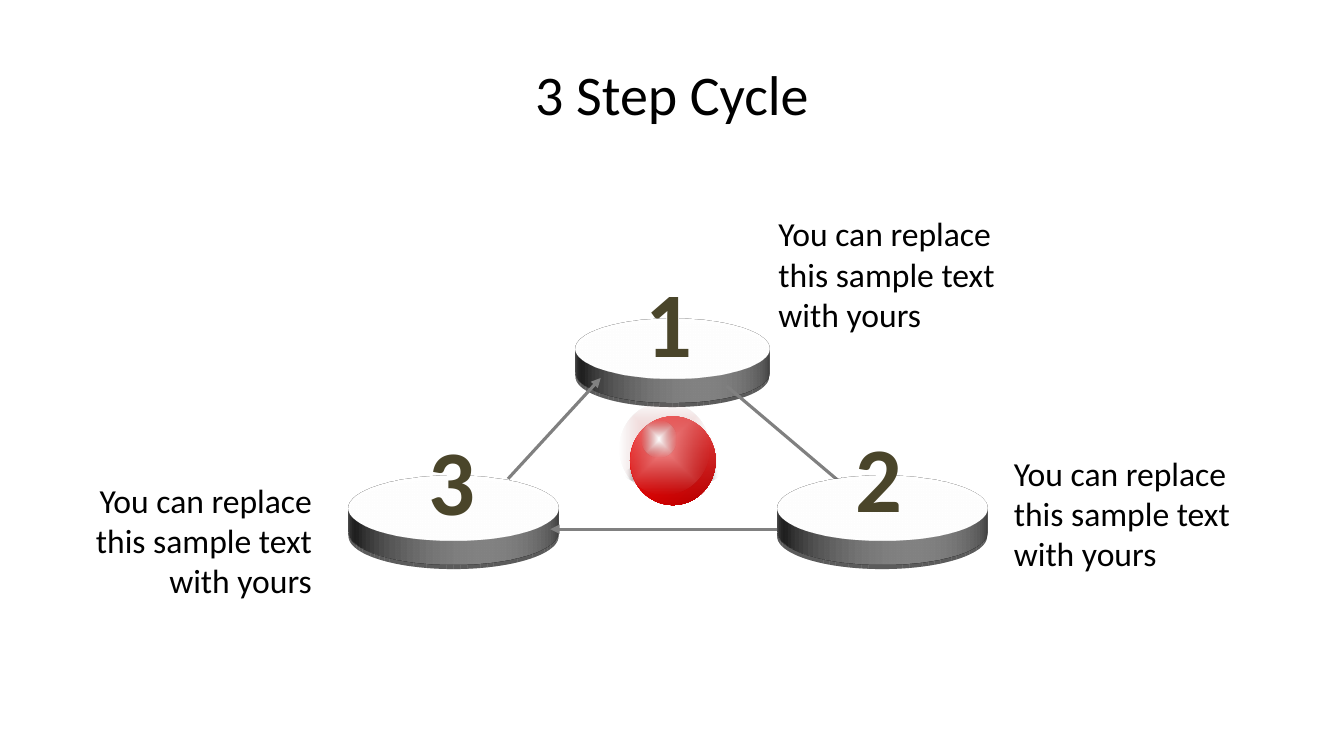
from lxml import etree
from pptx import Presentation
from pptx.dml.color import RGBColor as Rgb
from pptx.enum.shapes import MSO_CONNECTOR as Link, MSO_SHAPE as Shape
from pptx.enum.text import MSO_ANCHOR as Anchor, PP_ALIGN as Align
from pptx.oxml import parse_xml
from pptx.oxml.ns import nsdecls, qn
from pptx.util import Pt

COLORS = {
    "text": "000000", "digit": "4A452A", "line": "808080", "disc": "FFFFFF",
    "shadow": "000000", "red": "FF0000", "white": "FFFFFF", "pink": "FFB3B3",
}
TITLE = "3 Step Cycle"
NOTE = "You can replace this sample text with yours"
NOTES = [
    (549, 148.7, 192.24, Align.LEFT),
    (717.12, 319.7, 180, Align.LEFT),
    (47.8, 339.1, 182.16, Align.RIGHT),
]
DISCS = {
    "1": (411.1, 180, 138.2, 454.3, 185.8, 23),
    "2": (555.1, 288, 150, 604.1, 296.6, 15),
    "3": (249, 288, 150, 298.8, 298.4, 15),
}
ARROWS = [
    (519.1, 275.8, 604.1, 347.8),
    (362.9, 342, 429.1, 270),
    (560.9, 378, 393.1, 378),
]
GLOW = (447.1, 329.8, 66.2, 18)
GLOW_STOPS = [(24, "shadow", 44, 100), (100, "white", 0, 100)]
BALL = [
    ((450, 297.4, 61.2, 63.4), [(0, "red", 100, 100), (100, "red", 100, 46)], 45),
    ((450.7, 296.6, 61.2, 63.4), [(0, "white", 30, 100), (100, "white", 0, 46)], 90),
    ((442.8, 287.3, 64.1, 66.2), [(0, "pink", 70, 100), (100, "pink", 0, 46)], None),
    ((457.9, 300.2, 25.2, 26.6), [(0, "white", 100, 100), (100, "white", 0, 46)], None),
]
TILT, DEPTH = 288.2, 18

prs = Presentation()
prs.slide_width, prs.slide_height = Pt(960), Pt(540)
slide = prs.slides.add_slide(prs.slide_layouts[6])
shapes = slide.shapes


def add_text(text, x, y, w, h, size=24, color="text", bold=False,
             align=Align.LEFT, anchor=Anchor.TOP, wrap=True, gap=0):
    box = shapes.add_textbox(Pt(x), Pt(y), Pt(w), Pt(h))
    frame = box.text_frame
    frame.word_wrap, frame.vertical_anchor = wrap, anchor
    par = frame.paragraphs[0]
    par.alignment = align
    run = par.add_run()
    run.text = text
    font = run.font
    font.name, font.size, font.bold = "Calibri", Pt(size), bold
    font.color.rgb = Rgb.from_string(COLORS[color])
    if gap:
        run._r.get_or_add_rPr().set("spc", str(gap))


def add_oval(x, y, w, h):
    oval = shapes.add_shape(Shape.OVAL, Pt(x), Pt(y), Pt(w), Pt(h))
    oval.shadow.inherit = False
    oval.line.fill.background()
    oval.fill.solid()
    oval.fill.fore_color.rgb = Rgb.from_string(COLORS["disc"])
    return oval


def blend(oval, stops, angle=None):
    marks = "".join(
        f'<a:gs pos="{pos * 1000}"><a:srgbClr val="{COLORS[color]}">'
        f'<a:shade val="{shade * 1000}"/><a:alpha val="{alpha * 1000}"/>'
        f'</a:srgbClr></a:gs>'
        for pos, color, alpha, shade in stops)
    if angle is None:
        mode = ('<a:path path="shape"><a:fillToRect l="50000" t="50000" '
                'r="50000" b="50000"/></a:path>')
    else:
        mode = f'<a:lin ang="{angle * 60000}" scaled="0"/>'
    props = oval._element.spPr
    props.replace(props.find(qn("a:solidFill")), parse_xml(
        f'<a:gradFill {nsdecls("a")} rotWithShape="1"><a:gsLst>{marks}</a:gsLst>'
        f'{mode}</a:gradFill>'))


def add_disc(digit):
    x, y, size, left, top, blur = DISCS[digit]
    props = add_oval(x, y, size, size)._element.spPr
    props.replace(props.find(qn("a:effectLst")), parse_xml(
        f'<a:effectLst {nsdecls("a")}><a:outerShdw blurRad="{Pt(blur)}" '
        f'dist="{Pt(3)}" dir="5400000" rotWithShape="0">'
        f'<a:srgbClr val="{COLORS["shadow"]}"><a:alpha val="40000"/></a:srgbClr>'
        f'</a:outerShdw></a:effectLst>'))
    props.append(parse_xml(
        f'<a:scene3d {nsdecls("a")}><a:camera prst="orthographicFront">'
        f'<a:rot lat="{round(TILT * 60000)}" lon="0" rev="0"/></a:camera>'
        f'<a:lightRig rig="threePt" dir="t"/></a:scene3d>'))
    props.append(parse_xml(
        f'<a:sp3d {nsdecls("a")} extrusionH="{Pt(DEPTH)}"/>'))
    add_text(digit, left, top, 49, 87.1, size=66, color="digit", bold=True,
             wrap=False, gap=150)


def add_arrow(x1, y1, x2, y2):
    arrow = shapes.add_connector(Link.STRAIGHT, Pt(x1), Pt(y1), Pt(x2), Pt(y2))
    arrow.line.width = Pt(2.25)
    arrow.line.color.rgb = Rgb.from_string(COLORS["line"])
    tip = etree.SubElement(arrow.line._get_or_add_ln(), qn("a:tailEnd"))
    tip.set("type", "triangle")
    etree.SubElement(arrow._element.spPr, qn("a:effectLst"))


blend(add_oval(*GLOW), GLOW_STOPS)
add_disc("1")
add_disc("3")
for x, y, w, align in NOTES:
    add_text(NOTE, x, y, w, 94.3, align=align)
for ends in ARROWS:
    add_arrow(*ends)
add_text(TITLE, 48, 21.6, 864, 90, size=40, align=Align.CENTER,
         anchor=Anchor.MIDDLE)
add_disc("2")
for place, stops, angle in BALL:
    blend(add_oval(*place), stops, angle)

prs.save("out.pptx")
